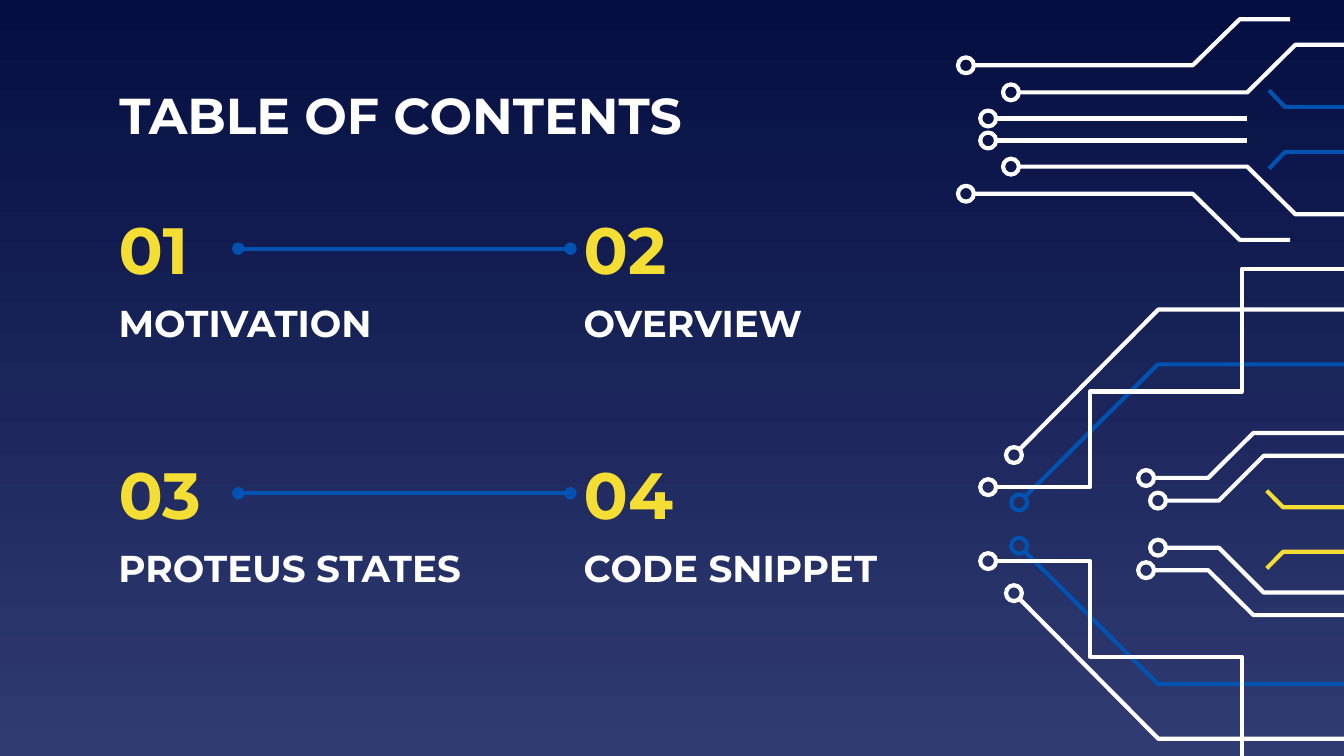
from math import hypot

from lxml import etree
from pptx import Presentation
from pptx.dml.color import RGBColor
from pptx.enum.shapes import MSO_CONNECTOR, MSO_SHAPE
from pptx.enum.text import MSO_ANCHOR
from pptx.oxml.ns import qn
from pptx.util import Pt

STRAIGHT = MSO_CONNECTOR.STRAIGHT
OVAL = MSO_SHAPE.OVAL
MIDDLE = MSO_ANCHOR.MIDDLE
LEFT_SIDE, RIGHT_SIDE = 1, 3

WIDTH, HEIGHT = 720, 405
COLOURS = {"white": "FFFFFF", "yellow": "F5DE34", "blue": "0152B1",
           "top": "040E41", "bottom": "303B72"}
FONT = "Montserrat"
STROKE = 2.25
RADIUS = 4.25

# Circuit halves: mirror axis, then traces as (colour, has node, points)
CIRCUITS = [
    (283.7, [("yellow", False, [(678.6, 262.9), (687.4, 271.8), (WIDTH, 271.8)])]),
    (280.8, [
        ("white", True, [(620.4, 268.2), (653, 268.2), (677, 244.2), (WIDTH, 244.2)]),
        ("white", True, [(614, 256.1), (647.3, 256.1), (671.5, 232), (WIDTH, 232)]),
        ("blue", True, [(546, 269.2), (620.3, 195.2), (WIDTH, 195.2)]),
        ("white", True, [(529.4, 261), (584, 261), (584, 209.8), (665.4, 209.8),
                         (665.4, 144), (WIDTH, 144)]),
        ("white", True, [(543.2, 243.8), (620.6, 165.8), (WIDTH, 165.8)]),
    ]),
    (69.4, [
        ("blue", False, [(679.8, 48.4), (688.4, 57.3), (WIDTH, 57.3)]),
        ("white", True, [(517.5, 35), (639, 35), (664.2, 10.3), (691.2, 10.3)]),
        ("white", True, [(541.6, 49.5), (668.2, 49.5), (694, 24), (WIDTH, 24)]),
        ("white", True, [(529.4, 63.5), (668.2, 63.5)]),
    ]),
]

# Contents rows: top, then (number, label, label width) for each column
ROWS = [
    (112.3, [("01", "MOTIVATION", 173.5), ("02", "OVERVIEW", 173.5)]),
    (243.4, [("03", "PROTEUS STATES", 198.7), ("04", "CODE SNIPPET", 173.5)]),
]
COLUMNS = [56.4, 305.6]
NUMBER_WIDTH, NUMBER_HEIGHT, LABEL_HEIGHT = 71.3, 41.8, 37.4


def colour_of(name):
    return RGBColor.from_string(COLOURS[name])


def format_text(box, text, *, size, colour="white", bold=True):
    span = box.text_frame.paragraphs[0].add_run()
    span.text = text
    span.font.name = FONT
    span.font.size = Pt(size)
    span.font.bold = bold
    span.font.color.rgb = colour_of(colour)


class SlideBuilder:
    def __init__(self, page):
        self.page = page
        self.shapes = page.shapes

    def background(self):
        fill = self.page.background.fill
        fill.gradient()
        fill.gradient_angle = 270
        for stop, name in zip(fill.gradient_stops, ("top", "bottom")):
            stop.color.rgb = colour_of(name)

    def text(self, text, left, top, width, height, **style):
        box = self.shapes.add_textbox(Pt(left), Pt(top), Pt(width), Pt(height))
        frame = box.text_frame
        frame.word_wrap = True
        frame.vertical_anchor = MIDDLE
        frame.margin_left = frame.margin_right = Pt(7.2)
        frame.margin_top = frame.margin_bottom = Pt(7.2)
        format_text(box, text, **style)
        return box

    def outline(self, shape, colour):
        shape.shadow.inherit = False
        shape.fill.background()
        shape.line.color.rgb = colour_of(colour)
        shape.line.width = Pt(STROKE)

    def node(self, x, y, colour):
        ring = self.shapes.add_shape(OVAL, Pt(x - RADIUS), Pt(y - RADIUS),
                                     Pt(2 * RADIUS), Pt(2 * RADIUS))
        self.outline(ring, colour)

    def trace(self, colour, has_node, points):
        # A trace that leaves the page stops at its bottom edge
        visible = [point for point in points if point[1] <= HEIGHT]
        if len(visible) < len(points):
            visible.append((visible[-1][0], HEIGHT))
        (x, y), (next_x, next_y) = visible[:2]
        if has_node:
            self.node(x, y, colour)
            share = RADIUS / hypot(next_x - x, next_y - y)
            x, y = x + share * (next_x - x), y + share * (next_y - y)
        builder = self.shapes.build_freeform(Pt(x), Pt(y))
        builder.add_line_segments([(Pt(a), Pt(b)) for a, b in visible[1:]], close=False)
        self.outline(builder.convert_to_shape(), colour)

    def link(self, start, end):
        line = self.shapes.add_connector(STRAIGHT, 0, 0, 0, 0)
        line.begin_connect(start, RIGHT_SIDE)
        line.end_connect(end, LEFT_SIDE)
        line.line.color.rgb = colour_of("blue")
        line.line.width = Pt(STROKE)
        properties = line._element.spPr
        stroke = properties.find(qn("a:ln"))
        for tag in ("a:headEnd", "a:tailEnd"):
            etree.SubElement(stroke, qn(tag), type="oval")
        etree.SubElement(properties, qn("a:effectLst"))


def main():
    deck = Presentation()
    deck.slide_width, deck.slide_height = Pt(WIDTH), Pt(HEIGHT)
    builder = SlideBuilder(deck.slides.add_slide(deck.slide_layouts[6]))
    builder.background()

    # Circuit decoration, each trace with its mirror
    for axis, traces in CIRCUITS:
        for colour, has_node, points in traces:
            mirrored = [(x, 2 * axis - y) for x, y in points]
            builder.trace(colour, has_node, points)
            builder.trace(colour, has_node, mirrored)

    # Title
    builder.text("TABLE OF CONTENTS", 56.9, 42.5, 422.6, LABEL_HEIGHT, size=27)

    # Contents, with the two numbers of each row linked
    for top, entries in ROWS:
        numbers = []
        for left, (number, label, width) in zip(COLUMNS, entries):
            numbers.append(builder.text(number, left, top, NUMBER_WIDTH, NUMBER_HEIGHT,
                                        size=35, colour="yellow"))
            builder.text(label, left, top + NUMBER_HEIGHT, width, LABEL_HEIGHT, size=20)
        builder.link(*numbers)

    deck.save("out.pptx")


if __name__ == "__main__":
    main()
